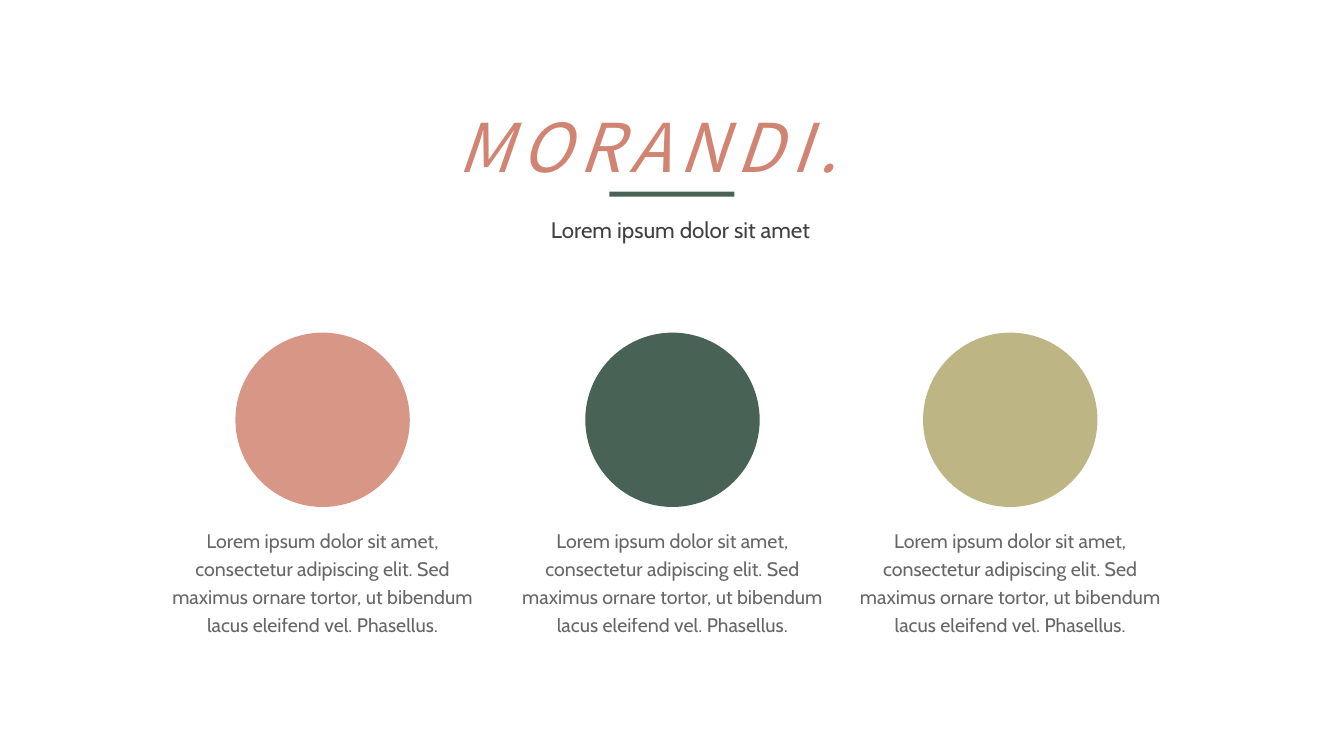
from lxml.etree import SubElement as Sub
from pptx import Presentation
from pptx.dml.color import RGBColor as Rgb
from pptx.enum.shapes import MSO_SHAPE as Kind
from pptx.enum.text import MSO_AUTO_SIZE as Fit, PP_ALIGN as Align
from pptx.oxml.ns import qn
from pptx.util import Inches, Pt

WIDE, HIGH = 13.33, 7.5
COLORS = {
    "title": "D28472", "sub": "404040", "body": "262626",
    "rose": "D89687", "green": "486255", "olive": "BDB684",
}
BODY = ("Lorem ipsum dolor sit amet, consectetur adipiscing elit. "
        "Sed maximus ornare tortor, ut bibendum lacus eleifend vel. Phasellus.")
STYLES = {
    "title": {"name": "Noto Sans CJK SC", "size": Pt(48), "italic": True},
    "sub": {"name": "Cabin", "size": Pt(16)},
    "body": {"name": "Cabin", "size": Pt(14)},
}
CENTERS = {"rose": 3.2, "green": 6.67, "olive": 10.02}


def add_form(slide, kind, box, color):
    form = slide.shapes.add_shape(kind, *map(Inches, box))
    form.shadow.inherit = False
    form.fill.solid()
    form.fill.fore_color.rgb = Rgb.from_string(COLORS[color])
    form.line.fill.background()


def add_text(slide, box, text, style, wrap=True, align=Align.CENTER, lead=1.0):
    frame = slide.shapes.add_textbox(*map(Inches, box)).text_frame
    frame.word_wrap = wrap
    frame.auto_size = Fit.SHAPE_TO_FIT_TEXT
    para = frame.paragraphs[0]
    para.alignment = align
    para.line_spacing = lead
    run = para.add_run()
    run.text = text
    for key, value in STYLES[style].items():
        setattr(run.font, key, value)
    run.font.color.rgb = Rgb.from_string(COLORS[style])
    return run


def add_header(slide, box):
    left, top, width, height = box
    run = add_text(slide, (left + 0.08, top, width - 0.07, 0.91),
                   "MORANDI.", "title", wrap=False, align=Align.LEFT)
    props = run.font._element
    props.set("spc", "600")
    face = props.find(qn("a:latin")).get("typeface")
    Sub(props, qn("a:ea")).set("typeface", face)
    add_text(slide, (left, top + height - 0.37, width, 0.37),
             "Lorem ipsum dolor sit amet", "sub")
    add_form(slide, Kind.RECTANGLE, ((WIDE - 1.24) / 2, top + 0.9, 1.24, 0.05), "green")


def add_column(slide, box, color):
    left, top, width, height = box
    size = 1.73
    add_form(slide, Kind.OVAL, (left + (width - size) / 2, top, size, size), color)
    run = add_text(slide, (left, top + 1.85, width, height - 1.85),
                   BODY, "body", lead=1.2)
    shade = run.font._element.find(".//" + qn("a:srgbClr"))
    Sub(shade, qn("a:alpha")).set("val", "70000")


def main():
    deck = Presentation()
    deck.slide_width, deck.slide_height = Inches(WIDE), Inches(HIGH)
    slide = deck.slides.add_slide(deck.slide_layouts[6])
    add_header(slide, (4.36, 1, 4.78, 1.47))
    width = 3.26
    for color, center in CENTERS.items():
        add_column(slide, (center - width / 2, 3.3, width, 3.35), color)
    deck.save("out.pptx")


if __name__ == "__main__":
    main()
